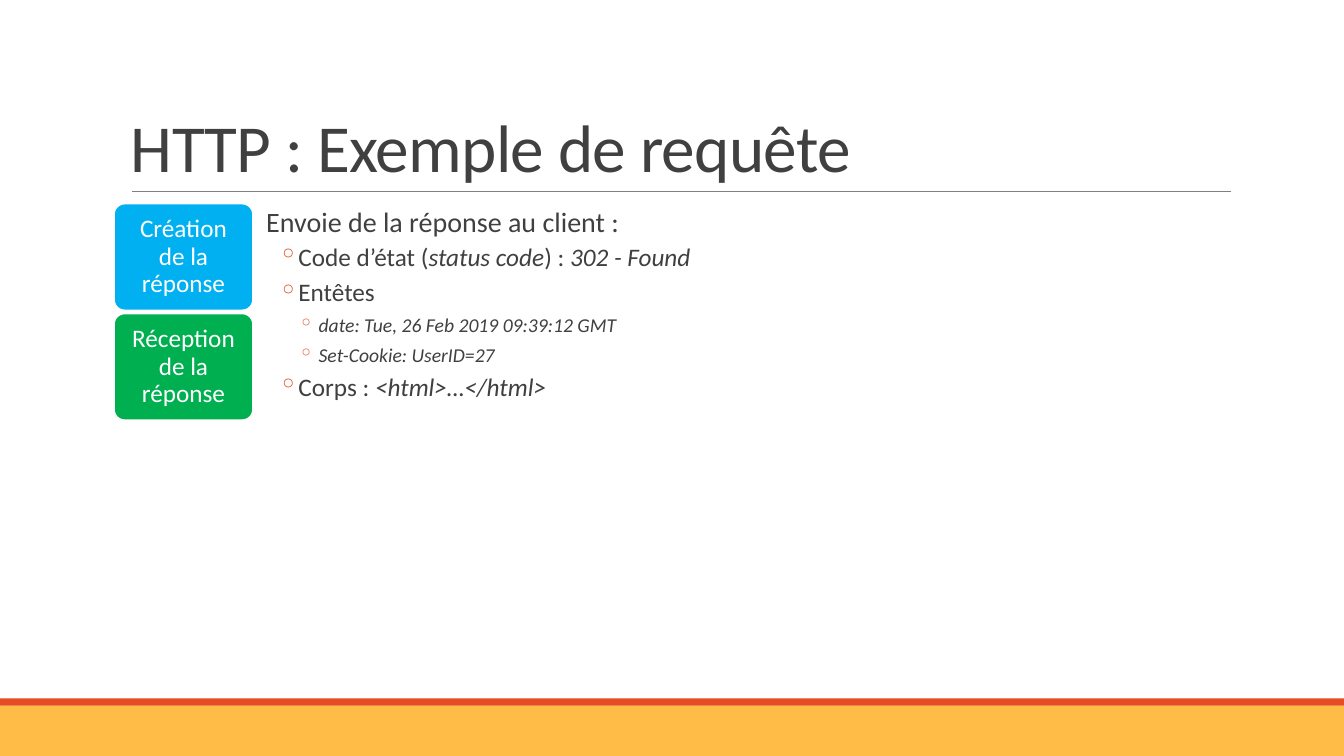
import pptx
import pptx.util
import pptx.dml.color
import pptx.enum.shapes
import pptx.enum.text
import pptx.oxml
import pptx.oxml.ns
from pptx.util import Inches

COLORS = {
    "text": "404040", "rule": "808080", "white": "FFFFFF", "orange": "E84C22",
    "amber": "FFBD47", "blue": "00B0F0", "green": "00B050",
}
SHAPES = pptx.enum.shapes.MSO_SHAPE
ALIGN = pptx.enum.text.PP_ALIGN
ANCHOR = pptx.enum.text.MSO_ANCHOR


def rgb(name):
    return pptx.dml.color.RGBColor.from_string(COLORS[name])


class SlideBuilder:
    font = "Calibri"
    line_spacing = 0.9

    def __init__(self, slide):
        self.slide = slide

    def box(self, left, top, width, height, fill, preset=SHAPES.RECTANGLE, outline=None):
        shape = self.slide.shapes.add_shape(
            preset, Inches(left), Inches(top), Inches(width), Inches(height))
        shape.shadow.inherit = False
        shape.fill.solid()
        shape.fill.fore_color.rgb = rgb(fill)
        if outline:
            shape.line.color.rgb = rgb(outline)
            shape.line.width = pptx.util.Pt(1.25)
        else:
            shape.line.fill.background()
        return shape

    def rule(self, left, right, top):
        connector = self.slide.shapes.add_connector(
            pptx.enum.shapes.MSO_CONNECTOR.STRAIGHT,
            Inches(left), Inches(top), Inches(right), Inches(top))
        connector.line.color.rgb = rgb("rule")
        connector.line.width = pptx.util.Pt(0.5)
        properties = connector.element.find(pptx.oxml.ns.qn("p:spPr"))
        properties.append(pptx.oxml.parse_xml(
            f"<a:effectLst {pptx.oxml.ns.nsdecls('a')}/>"))

    def frame(self, shape, horizontal, vertical, anchor):
        frame = shape.text_frame
        frame.word_wrap = True
        frame.vertical_anchor = anchor
        frame.margin_left = frame.margin_right = Inches(horizontal)
        frame.margin_top = frame.margin_bottom = Inches(vertical)
        return frame

    def text_box(self, left, top, width, height, horizontal=0.1, anchor=ANCHOR.TOP):
        shape = self.slide.shapes.add_textbox(
            Inches(left), Inches(top), Inches(width), Inches(height))
        return self.frame(shape, horizontal, 0.05, anchor)

    def run(self, paragraph, text, size, color="text", italic=False):
        run = paragraph.add_run()
        run.text = text
        run.font.name = self.font
        run.font.size = pptx.util.Pt(size)
        run.font.color.rgb = rgb(color)
        run.font.italic = italic
        return run

    def title(self, text):
        frame = self.text_box(1.2, 0.31, 11, 1.59, anchor=ANCHOR.BOTTOM)
        paragraph = frame.paragraphs[0]
        paragraph.line_spacing = 0.85
        run = self.run(paragraph, text, 48)
        run.font._element.set("spc", "-50")

    def step(self, top, fill, text):
        shape = self.box(1.13, top, 1.38, 1.06, fill, SHAPES.ROUNDED_RECTANGLE, "white")
        shape.adjustments[0] = 0.1
        paragraph = self.frame(shape, 0.1, 0.1, ANCHOR.MIDDLE).paragraphs[0]
        paragraph.alignment = ALIGN.CENTER
        paragraph.line_spacing = self.line_spacing
        self.run(paragraph, text, 18, "white")

    def bullet(self, paragraph, margin, hanging):
        properties = paragraph._p.get_or_add_pPr()
        properties.set("marL", str(Inches(margin)))
        properties.set("indent", str(-Inches(hanging)))
        if not hanging:
            return
        namespace = pptx.oxml.ns.nsdecls("a")
        properties.append(pptx.oxml.parse_xml(
            f'<a:buClr {namespace}><a:srgbClr val="{COLORS["orange"]}"/></a:buClr>'))
        properties.append(pptx.oxml.parse_xml(f'<a:buChar {namespace} char="◦"/>'))

    def outline(self, items):
        levels = [(20, 0.1, 0, 12, 2), (18, 0.42, 0.2, 2, 4), (14, 0.62, 0.2, 2, 4)]
        frame = self.text_box(2.54, 2.02, 9.66, 4.4, horizontal=0)
        for index, (level, runs) in enumerate(items):
            size, margin, hanging, before, after = levels[level]
            paragraph = frame.add_paragraph() if index else frame.paragraphs[0]
            paragraph.level = level
            paragraph.line_spacing = self.line_spacing
            paragraph.space_before = pptx.util.Pt(before)
            paragraph.space_after = pptx.util.Pt(after)
            self.bullet(paragraph, margin, hanging)
            for text, italic in runs:
                self.run(paragraph, text, size, italic=italic)


presentation = pptx.Presentation()
presentation.slide_width = Inches(13.33)
presentation.slide_height = Inches(7.5)
builder = SlideBuilder(presentation.slides.add_slide(presentation.slide_layouts[6]))

builder.box(0, 7, 13.33, 0.5, "amber")
builder.box(0, 6.93, 13.33, 0.07, "orange")
builder.rule(1.31, 12.21, 1.9)
builder.title("HTTP : Exemple de requête")
builder.outline([
    (0, [("Envoie de la réponse au client :", False)]),
    (1, [("Code d’état (", False), ("status code", True),
         (") : ", False), ("302 - Found", True)]),
    (1, [("Entêtes", False)]),
    (2, [("date: Tue, 26 Feb 2019 09:39:12 GMT", True)]),
    (2, [("Set-Cookie: UserID=27", True)]),
    (1, [("Corps : ", False), ("<html>…</html>", True)]),
])
steps = [("blue", "Création de la réponse"), ("green", "Réception de la réponse")]
for index, (fill, text) in enumerate(steps):
    builder.step(2.02 + index * 1.09, fill, text)

presentation.save("out.pptx")
